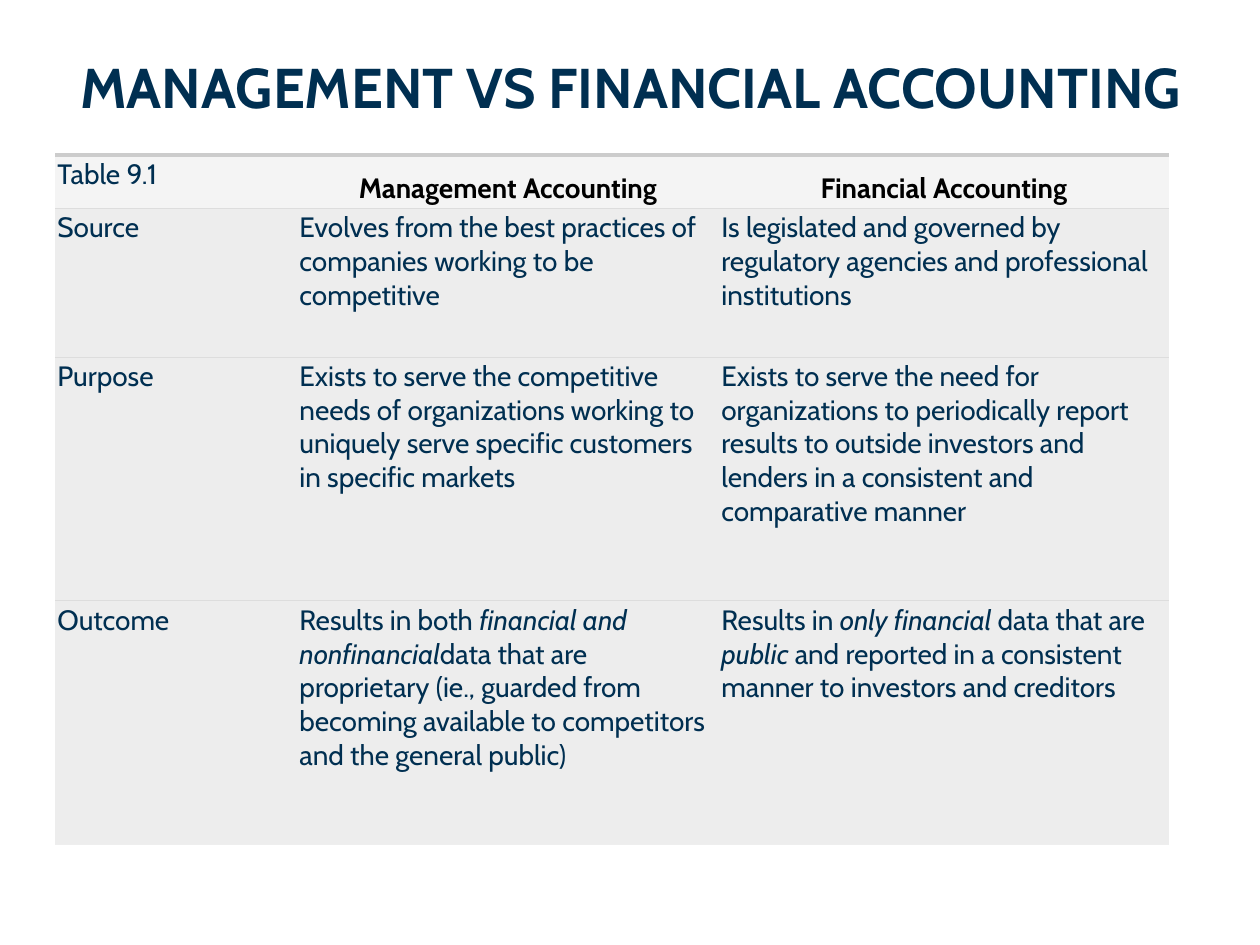
from lxml import etree
from pptx import Presentation, util as u
from pptx.dml.color import RGBColor
from pptx.enum import text
from pptx.oxml import ns

PX = 914400 // 126
NAVY, BLACK = "002F51", "000000"
COLS = [242, 422, 450]
ROWS = [53, 149, 244, 244]
CONTENT = [
    ["Table 9.1", "Management Accounting", "Financial Accounting"],
    ["Source",
     "Evolves from the best practices of companies working to be competitive",
     "Is legislated and governed by regulatory agencies and professional institutions"],
    ["Purpose",
     "Exists to serve the competitive needs of organizations working to uniquely serve "
     "specific customers in specific markets",
     "Exists to serve the need for organizations to periodically report results to outside "
     "investors and lenders in a consistent and comparative manner"],
    ["Outcome",
     "Results in both *financial and nonfinancial*data that are proprietary (ie., guarded "
     "from becoming available to competitors and the general public)",
     "Results in *only financial* data that are *public *and reported in a consistent "
     "manner to investors and creditors"],
]


def px(n):
    return u.Emu(n * PX)


def rgb(value):
    return RGBColor.from_string(value)


def set_all(obj, values):
    for name, value in values.items():
        setattr(obj, name, value)


def write(p, content, size, color, bold=False, align=text.PP_ALIGN.LEFT):
    p.alignment = align
    for i, part in enumerate(content.split("*")):
        r = p.add_run()
        r.text = part
        set_all(r.font, dict(name="Cabin", size=u.Pt(size), bold=bold, italic=i % 2 == 1))
        r.font.color.rgb = rgb(color)


def add_border(cell, side, color=None, width=0.6):
    tc_pr = cell._tc.get_or_add_tcPr()
    ln = etree.SubElement(tc_pr, ns.qn(f"a:ln{side}"), w=str(u.Pt(width)))
    if color is None:
        etree.SubElement(ln, ns.qn("a:noFill"))
    else:
        fill = etree.SubElement(ln, ns.qn("a:solidFill"))
        etree.SubElement(fill, ns.qn("a:srgbClr"), val=color)


def add_title(s, content):
    tb = s.shapes.add_textbox(px(33), px(18), px(1196), px(137))
    tf = tb.text_frame
    set_all(tf, dict(word_wrap=True, vertical_anchor=text.MSO_ANCHOR.MIDDLE))
    write(tf.paragraphs[0], content, 32, NAVY, True, text.PP_ALIGN.CENTER)


def format_cell(cell, row, col):
    header = row == 0
    heading = header and col > 0
    inset = u.Inches(0.02)
    set_all(cell, dict(
        margin_left=inset, margin_right=inset, margin_top=inset, margin_bottom=inset,
        vertical_anchor=text.MSO_ANCHOR.BOTTOM if heading else text.MSO_ANCHOR.TOP))
    add_border(cell, "L")
    add_border(cell, "R")
    add_border(cell, "T", *(("CCCCCC", 2.4) if header else ("DDDDDD",)))
    add_border(cell, "B", "EEEEEE" if row == len(ROWS) - 1 else "DDDDDD")
    cell.fill.solid()
    cell.fill.fore_color.rgb = rgb("F4F4F4" if header else "EDEDED")
    write(cell.text_frame.paragraphs[0], CONTENT[row][col], 16,
          BLACK if heading else NAVY, heading,
          text.PP_ALIGN.CENTER if heading else text.PP_ALIGN.LEFT)


def add_comparison(s):
    table = s.shapes.add_table(len(ROWS), len(COLS), px(55), px(155),
                               px(sum(COLS)), px(sum(ROWS))).table
    set_all(table, dict(first_row=False, horz_banding=False))
    for column, width in zip(table.columns, COLS):
        column.width = px(width)
    for row, height in enumerate(ROWS):
        table.rows[row].height = px(height)
        for col in range(len(COLS)):
            format_cell(table.cell(row, col), row, col)


def main():
    prs = Presentation()
    set_all(prs, dict(slide_width=u.Inches(10), slide_height=u.Inches(7.5)))
    s = prs.slides.add_slide(prs.slide_layouts[6])
    add_title(s, "MANAGEMENT VS FINANCIAL ACCOUNTING")
    add_comparison(s)
    prs.save("out.pptx")


if __name__ == "__main__":
    main()
